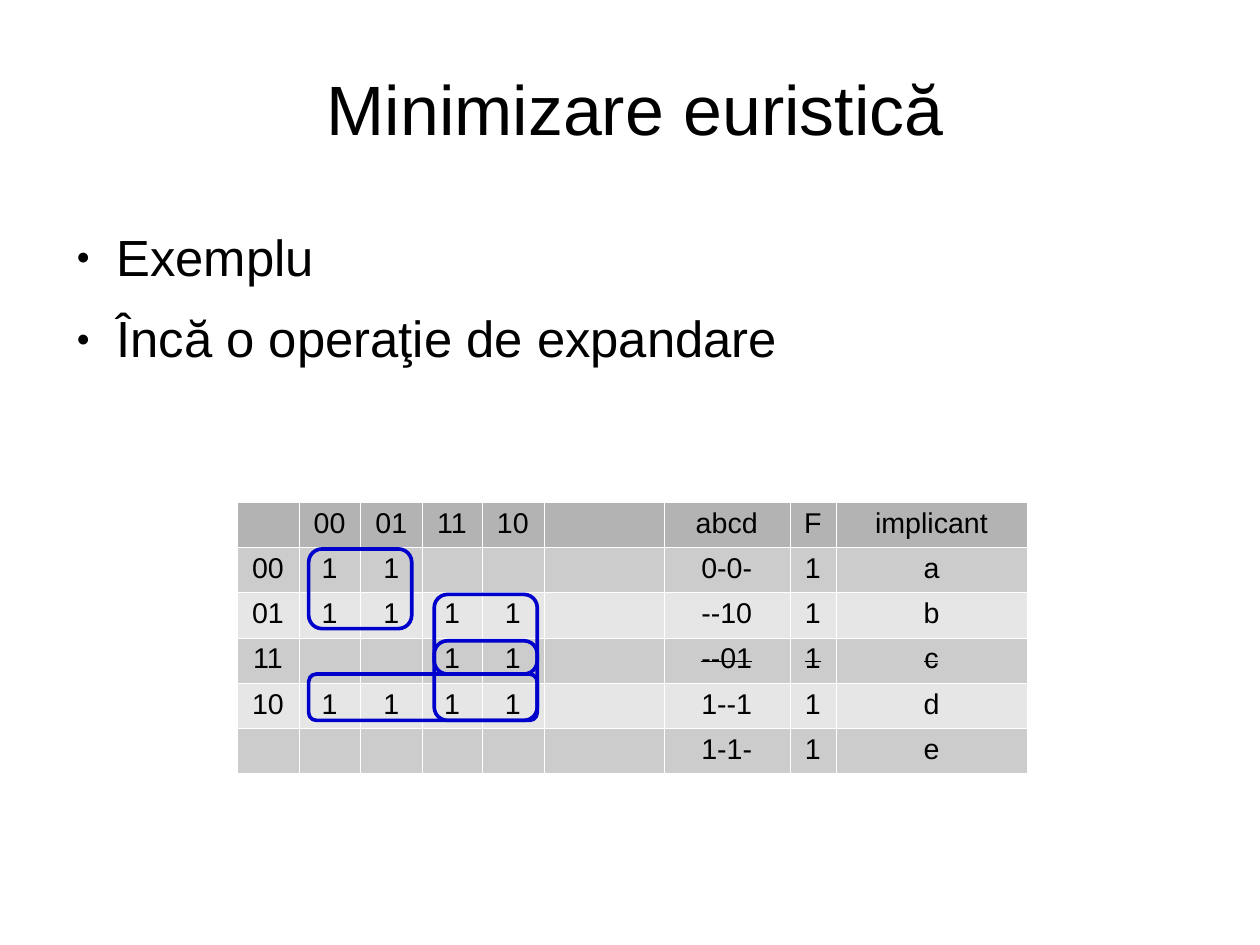
from dataclasses import dataclass

from lxml.etree import SubElement
from pptx import Presentation
from pptx.dml.color import RGBColor
from pptx.enum.shapes import MSO_SHAPE as Preset
from pptx.enum.text import MSO_ANCHOR as Anchor, PP_ALIGN as Align
from pptx.oxml.ns import qn
from pptx.util import Cm, Pt


@dataclass(frozen=True)
class Theme:
    font: str = "Arial"
    text: str = "000000"
    header: str = "B3B3B3"
    bands: tuple = ("CCCCCC", "E6E6E6")
    border: str = "FFFFFF"
    loop: str = "0000CC"
    title_size: int = 44
    body_size: int = 32
    table_size: int = 18
    loop_width: float = 2.3
    border_width: float = 0.06


def apply(target, values):
    for name, value in values.items():
        setattr(target, name, value)


class SlideBuilder:
    def __init__(self, slide, theme):
        self.slide = slide
        self.theme = theme

    def add_text(self, paragraph, text, size, strike=False):
        run = paragraph.add_run()
        run.text = text
        apply(run.font, {"name": self.theme.font, "size": Pt(size)})
        run.font.color.rgb = RGBColor.from_string(self.theme.text)
        if strike:
            run._r.get_or_add_rPr().set("strike", "sngStrike")

    def text_frame(self, box, anchor):
        frame = self.slide.shapes.add_textbox(*map(Cm, box)).text_frame
        apply(frame, {
            "word_wrap": True, "vertical_anchor": anchor,
            "margin_left": 0, "margin_right": 0, "margin_top": 0, "margin_bottom": 0,
        })
        return frame

    def title(self, text, box):
        paragraph = self.text_frame(box, Anchor.MIDDLE).paragraphs[0]
        apply(paragraph, {"alignment": Align.CENTER, "line_spacing": 0.9})
        self.add_text(paragraph, text, self.theme.title_size)

    def bullets(self, items, box):
        frame = self.text_frame(box, Anchor.TOP)
        for index, text in enumerate(items):
            paragraph = frame.add_paragraph() if index else frame.paragraphs[0]
            apply(paragraph, {
                "line_spacing": 0.9, "space_before": Pt(8 if index else 0), "space_after": Pt(9),
            })
            properties = paragraph._p.get_or_add_pPr()
            properties.set("marL", str(Cm(1.19)))
            properties.set("indent", str(Cm(-0.89)))
            color = SubElement(properties, qn("a:buClr"))
            SubElement(color, qn("a:srgbClr"), val=self.theme.text)
            SubElement(properties, qn("a:buSzPct"), val="45000")
            SubElement(properties, qn("a:buFont"), typeface=self.theme.font)
            SubElement(properties, qn("a:buChar"), char="●")
            self.add_text(paragraph, text, self.theme.body_size)

    def cell(self, cell, text, fill, strike):
        properties = cell._tc.get_or_add_tcPr()
        for side in ("lnL", "lnR", "lnT", "lnB"):
            line = SubElement(properties, qn(f"a:{side}"), w=str(Pt(self.theme.border_width)))
            solid = SubElement(line, qn("a:solidFill"))
            SubElement(solid, qn("a:srgbClr"), val=self.theme.border)
        cell.fill.solid()
        cell.fill.fore_color.rgb = RGBColor.from_string(fill)
        apply(cell, {
            "margin_left": Cm(0.25), "margin_right": Cm(0.25),
            "margin_top": Cm(0.12), "margin_bottom": Cm(0.12),
        })
        paragraph = cell.text_frame.paragraphs[0]
        paragraph.alignment = Align.CENTER
        if text:
            self.add_text(paragraph, text, self.theme.table_size, strike)
        else:
            paragraph.font.size = Pt(self.theme.table_size)

    def table(self, rows, left, top, widths, row_height, struck):
        table = self.slide.shapes.add_table(
            len(rows), len(widths), Cm(left), Cm(top),
            Cm(sum(widths)), Cm(row_height * len(rows)),
        ).table
        apply(table, {"first_row": False, "horz_banding": False})
        for column, width in zip(table.columns, widths):
            column.width = Cm(width)
        for row_index, values in enumerate(rows):
            table.rows[row_index].height = Cm(row_height)
            fill = self.theme.bands[(row_index - 1) % 2] if row_index else self.theme.header
            for column_index, text in enumerate(values):
                strike = (row_index, column_index) in struck
                self.cell(table.cell(row_index, column_index), text, fill, strike)

    def loop(self, box):
        shape = self.slide.shapes.add_shape(Preset.FLOWCHART_ALTERNATE_PROCESS, *map(Cm, box))
        shape.shadow.inherit = False
        shape.fill.background()
        shape.line.color.rgb = RGBColor.from_string(self.theme.loop)
        shape.line.width = Pt(self.theme.loop_width)


MAP_AND_IMPLICANTS = [
    ("", "00", "01", "11", "10", "", "abcd", "F", "implicant"),
    ("00", "1", "1", "", "", "", "0-0-", "1", "a"),
    ("01", "1", "1", "1", "1", "", "--10", "1", "b"),
    ("11", "", "", "1", "1", "", "--01", "1", "c"),
    ("10", "1", "1", "1", "1", "", "1--1", "1", "d"),
    ("", "", "", "", "", "", "1-1-", "1", "e"),
]
COLUMN_WIDTHS = (1.37, 1.37, 1.37, 1.33, 1.37, 2.67, 2.8, 1.03, 4.24)
COVERED = {(3, 6), (3, 7), (3, 8)}
LOOPS = [
    (6.86, 12.2, 2.29, 1.77),
    (9.65, 14.24, 2.29, 1.77),
    (6.86, 14.98, 5.08, 1.03),
    (9.65, 13.21, 2.29, 1.77),
]


def main():
    presentation = Presentation()
    apply(presentation, {"slide_width": Cm(28), "slide_height": Cm(21)})
    slide = presentation.slides.add_slide(presentation.slide_layouts[6])
    builder = SlideBuilder(slide, Theme())
    builder.title("Minimizare euristică", (1.52, 0.76, 25.2, 3.5))
    builder.bullets(["Exemplu", "Încă o operaţie de expandare"], (1.4, 5.16, 25.2, 11.9))
    builder.table(MAP_AND_IMPLICANTS, 5.27, 11.16, COLUMN_WIDTHS, 0.97, COVERED)
    for box in LOOPS:
        builder.loop(box)
    presentation.save("out.pptx")


if __name__ == "__main__":
    main()
